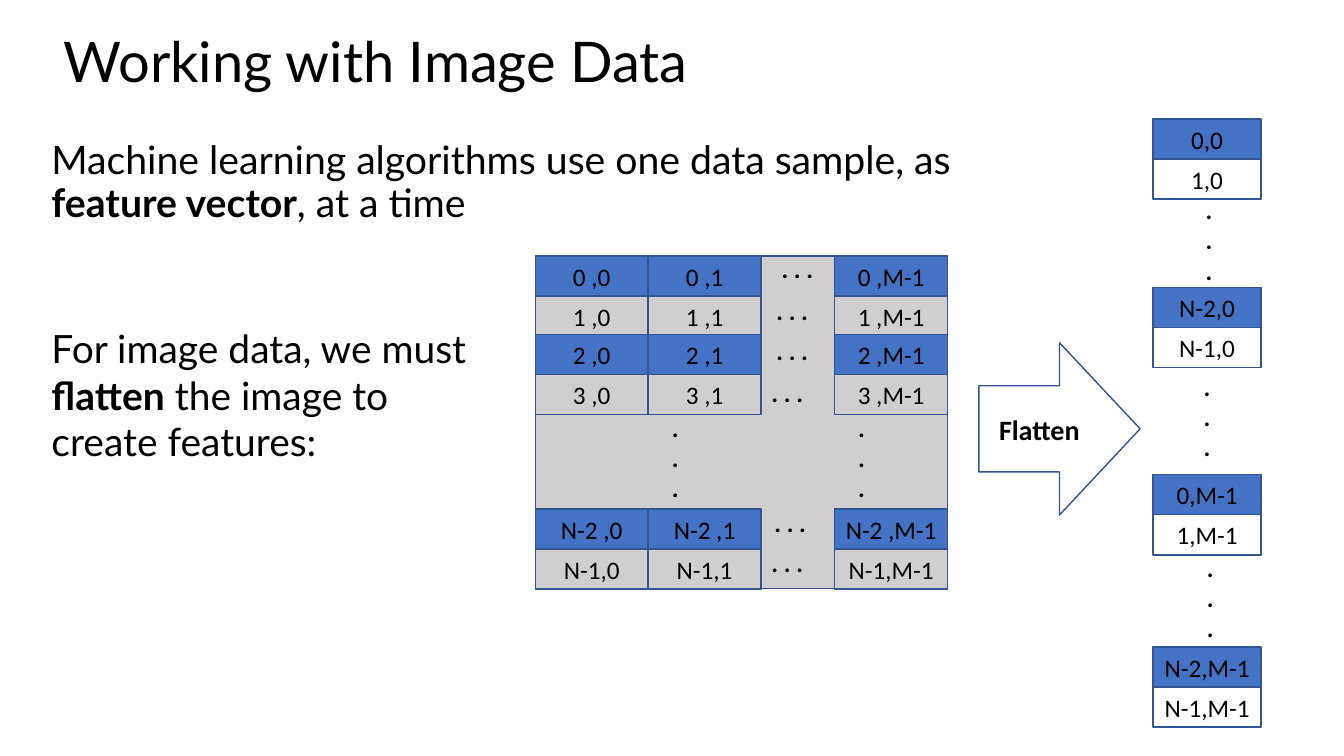
from dataclasses import dataclass
from itertools import product
from typing import Any, NamedTuple, Optional

from pptx import Presentation
from pptx import util as u
from pptx.dml import color
from pptx.enum import shapes, text

SLIDE_WIDTH = u.Inches(13.33)
SLIDE_HEIGHT = u.Inches(7.5)
COLUMN = SLIDE_WIDTH / 100
ROW = SLIDE_HEIGHT / 100


@dataclass(frozen=True)
class Theme:
    ink: str = "000000"
    blue: str = "4472C4"
    grey: str = "D0CECE"
    outline: str = "325491"
    heading_font: str = "Lato"
    cell_font: str = "Calibri"
    title_size: float = 40
    body_size: float = 28
    note_size: float = 27.8
    arrow_size: float = 20
    cell_size: float = 18
    line_width: float = 1


class Area(NamedTuple):
    left: float
    top: float
    width: float
    height: float

    def lengths(self) -> list[int]:
        units = (COLUMN, ROW, COLUMN, ROW)
        return [round(share * unit) for share, unit in zip(self, units)]


class Run(NamedTuple):
    words: str
    bold: bool = False


@dataclass(frozen=True)
class Style:
    font: str
    size: float
    anchor: Any = text.MSO_ANCHOR.MIDDLE
    align: Any = text.PP_ALIGN.CENTER
    side_inset: float = 0
    line_spacing: Optional[float] = None
    space_before: float = 0


@dataclass(frozen=True)
class TextBlock:
    area: Area
    style: Style
    paragraphs: list[list[Run]]


THEME = Theme()
TOP, LEFT = text.MSO_ANCHOR.TOP, text.PP_ALIGN.LEFT
CELL = Style(THEME.cell_font, THEME.cell_size)
DOTS = Style(THEME.cell_font, THEME.cell_size, anchor=TOP)
ARROW = Style(THEME.cell_font, THEME.arrow_size)
TITLE = Style(THEME.heading_font, THEME.title_size, align=LEFT,
              side_inset=0.75, line_spacing=0.9)
BODY = Style(THEME.heading_font, THEME.body_size, TOP, LEFT, 0.75, 0.9, 14)
NOTE = Style(THEME.heading_font, THEME.note_size, TOP, LEFT, 0.75, None, 14)

CELL_HEIGHT = 5.3
MATRIX = Area(39.83, 33.87, 30.68, 44)
MATRIX_CELL_WIDTH = 8.4
MATRIX_COLUMNS = {
    "0": MATRIX.left,
    "1": MATRIX.left + MATRIX_CELL_WIDTH,
    "M-1": MATRIX.left + MATRIX.width - MATRIX_CELL_WIDTH,
}
MATRIX_PAIRS = {
    ("0 ,", "1 ,"): MATRIX.top,
    ("2 ,", "3 ,"): 44.27,
    ("N-2 ,", "N-1,"): 67.33,
}
VECTOR_LEFT, VECTOR_WIDTH = 85.8, 8.03
VECTOR_TOPS = (15.73, 38, 62.8, 85.6)
VECTOR_PAIRS = product(("0", "M-1"), (("0,", "1,"), ("N-2,", "N-1,")))
ROW_DOTS = ((56.63, 32.8), (56.25, 38.4), (56.25, 43.73),
            (55.88, 49.2), (56.1, 66.4), (55.88, 71.73))
COLUMN_DOTS = ((49.85, 53.87), (63.7, 53.87), (89.55, 25.07),
               (89.4, 48.4), (89.65, 72.4))

TEXT_BLOCKS = [
    TextBlock(Area(3.08, 18, 76.95, 14.67), BODY, [[
        Run("Machine learning algorithms use one data sample, as "),
        Run("feature vector", True), Run(", at a time")]]),
    TextBlock(Area(3.98, 2.8, 93.6, 11.47), TITLE,
              [[Run("Working with Image Data")]]),
    TextBlock(Area(3.08, 42.27, 32.63, 25.2), NOTE, [[
        Run("For image data, we must "), Run("flatten", True),
        Run(" the image to create features:")]]),
]


def apply(target: Any, values: dict[str, Any]) -> None:
    for name, value in values.items():
        setattr(target, name, value)


def write(shape: Any, style: Style, paragraphs: list[list[Run]]) -> None:
    frame = shape.text_frame
    inset = round(style.side_inset * COLUMN)
    apply(frame, {"word_wrap": True, "vertical_anchor": style.anchor,
                  "margin_left": inset, "margin_right": inset,
                  "margin_top": u.Inches(0.05),
                  "margin_bottom": u.Inches(0.05)})
    for index, runs in enumerate(paragraphs):
        paragraph = frame.add_paragraph() if index else frame.paragraphs[0]
        apply(paragraph, {"alignment": style.align,
                          "line_spacing": style.line_spacing,
                          "space_before": u.Pt(style.space_before)})
        for part in runs:
            run = paragraph.add_run()
            run.text = part.words
            apply(run.font, {"name": style.font, "size": u.Pt(style.size),
                             "bold": part.bold})
            run.font.color.rgb = color.RGBColor.from_string(THEME.ink)


def draw_text(slide: Any, block: TextBlock) -> None:
    box = slide.shapes.add_textbox(*block.area.lengths())
    write(box, block.style, block.paragraphs)


def draw_shape(slide: Any, area: Area, fill: Optional[str] = None,
               kind: Any = shapes.MSO_SHAPE.RECTANGLE) -> Any:
    shape = slide.shapes.add_shape(kind, *area.lengths())
    shape.shadow.inherit = False
    if fill:
        shape.fill.solid()
        shape.fill.fore_color.rgb = color.RGBColor.from_string(fill)
    else:
        shape.fill.background()
    shape.line.color.rgb = color.RGBColor.from_string(THEME.outline)
    shape.line.width = u.Pt(THEME.line_width)
    return shape


def draw_pair(slide: Any, left: float, top: float, width: float,
              labels: list[str]) -> None:
    for index, (label, fill) in enumerate(zip(labels, (THEME.blue, None))):
        area = Area(left, top + index * CELL_HEIGHT, width, CELL_HEIGHT)
        write(draw_shape(slide, area, fill), CELL, [[Run(label)]])


def main() -> None:
    presentation = Presentation()
    apply(presentation, {"slide_width": SLIDE_WIDTH,
                         "slide_height": SLIDE_HEIGHT})
    slide = presentation.slides.add_slide(presentation.slide_layouts[6])
    for block in TEXT_BLOCKS:
        draw_text(slide, block)
    draw_shape(slide, MATRIX, THEME.grey)
    for (column, left), (rows, top) in product(MATRIX_COLUMNS.items(),
                                               MATRIX_PAIRS.items()):
        draw_pair(slide, left, top, MATRIX_CELL_WIDTH,
                  [row + column for row in rows])
    for top, (column, rows) in zip(VECTOR_TOPS, VECTOR_PAIRS):
        draw_pair(slide, VECTOR_LEFT, top, VECTOR_WIDTH,
                  [row + column for row in rows])
    for left, top in ROW_DOTS:
        draw_text(slide, TextBlock(Area(left, top, 5.4, CELL_HEIGHT), DOTS,
                                   [[Run(". . .", True)]]))
    for left, top in COLUMN_DOTS:
        draw_text(slide, TextBlock(Area(left, top, 0.8, 13.47), DOTS,
                                   [[Run(".", True)]] * 3))
    arrow = draw_shape(slide, Area(72.83, 45.33, 12, 22.8),
                       kind=shapes.MSO_SHAPE.RIGHT_ARROW)
    write(arrow, ARROW, [[Run("Flatten", True)]])
    presentation.save("out.pptx")


if __name__ == "__main__":
    main()
